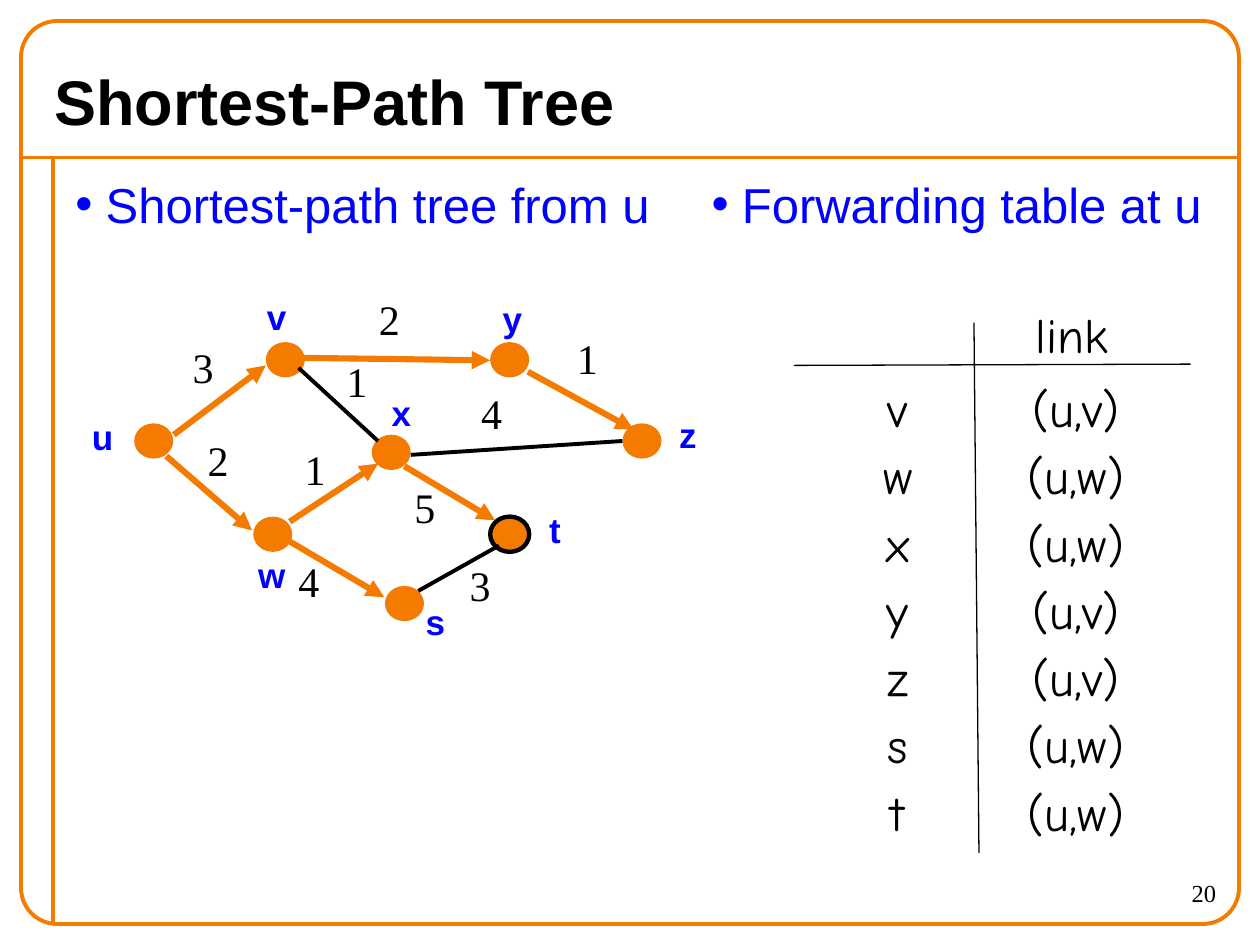
from lxml.etree import SubElement
from pptx import Presentation
from pptx.dml.color import RGBColor
from pptx.enum.shapes import MSO_CONNECTOR, MSO_SHAPE
from pptx.enum.text import MSO_ANCHOR, MSO_AUTO_SIZE, PP_ALIGN
from pptx.oxml.ns import qn
from pptx.util import Inches, Pt

COLORS = {"accent": "F47A00", "ink": "000000", "label": "0000FF"}
COLUMNS, ROWS = 100, 75

# router: (centre, label centre, label width)
ROUTERS = {
    "u": ((12.2, 35), (8.15, 34.7), 3.7),
    "w": ((21.65, 42.4), (21.55, 45.6), 4.1),
    "v": ((22.65, 28.55), (21.95, 25.2), 3.5),
    "x": ((31.05, 35.9), (31.85, 32.8), 3.5),
    "t": ((40.45, 42.4), (44.05, 42.1), 2.9),
    "y": ((40.45, 28.55), (40.65, 25.3), 3.5),
    "s": ((32.1, 47.9), (34.55, 49.4), 3.5),
    "z": ((50.95, 35), (54.6, 34.5), 3.4),
}
# (start, end, in the tree, cost, cost centre)
LINKS = [
    ((13.8, 34.5), (21.1, 29), True, 3, (16.1, 29.1)),
    ((13.2, 36.2), (20, 42.1), True, 2, (17.3, 36.5)),
    ((23.7, 29.2), (30, 35), False, 1, (28.3, 30.2)),
    ((22.7, 42.8), (30.5, 47.4), True, 4, (24.5, 46.1)),
    ((23, 41.4), (30, 36.8), True, 1, (25, 37.2)),
    ((32.1, 37), (39.3, 41.3), True, 5, (33.7, 40.2)),
    ((33.2, 46.9), (39.6, 43.3), False, 3, (38.1, 46.4)),
    ((32.6, 36.1), (49.4, 35), False, 4, (39, 32.8)),
    ((23.9, 28.4), (38.9, 28.6), True, 2, (30.9, 25.3)),
    ((41.9, 29.5), (50.3, 34.1), True, 1, (46.6, 28.4)),
]
FIRST_HOPS = {"v": "v", "w": "w", "x": "w", "y": "v", "z": "v", "s": "w", "t": "w"}
KEY_WIDTHS = {"w": 4.4, "t": 3.1}
FIRST_ROW, ROW_STEP = 32.4, 5.34
KEY_COLUMN, LINK_COLUMN = 71.25, 85.4


def write(frame, text, font="Arial", size=28, color="ink", bold=False,
          align=PP_ALIGN.LEFT, bullet=False):
    paragraph = frame.paragraphs[0]
    paragraph.text = text
    paragraph.alignment = align
    if bullet:
        properties = paragraph._p.get_or_add_pPr()
        properties.set("marL", str(Inches(0.24)))
        properties.set("indent", str(-Inches(0.24)))
        SubElement(properties, qn("a:buFont"), typeface=font)
        SubElement(properties, qn("a:buChar"), char="•")
    for style in (paragraph.font, paragraph.runs[0].font):
        style.name, style.size, style.bold = font, Pt(size), bold
        style.color.rgb = RGBColor.from_string(COLORS[color])


class Board:
    """Draws on one slide, with lengths in grid columns and rows."""

    def __init__(self, deck):
        self.slide = deck.slides.add_slide(deck.slide_layouts[6])
        self.column = deck.slide_width / COLUMNS
        self.row = deck.slide_height / ROWS

    def grid(self, *lengths):
        units = (self.column, self.row)
        return [round(length * units[i % 2]) for i, length in enumerate(lengths)]

    def outline(self, line, color, width):
        line.color.rgb = RGBColor.from_string(COLORS[color])
        line.width = Pt(width)

    def block(self, box, text, anchor=MSO_ANCHOR.TOP, **style):
        frame = self.slide.shapes.add_textbox(*self.grid(*box)).text_frame
        frame.word_wrap = True
        frame.vertical_anchor = anchor
        write(frame, text, **style)

    def label(self, centre, width, height, text, **style):
        """Places a one-line text around its centre."""
        x, y = centre
        box = self.grid(x - width / 2, y - height / 2, width, height)
        frame = self.slide.shapes.add_textbox(*box).text_frame
        frame.word_wrap = False
        frame.auto_size = MSO_AUTO_SIZE.SHAPE_TO_FIT_TEXT
        write(frame, text, align=PP_ALIGN.CENTER, **style)

    def shape(self, kind, box, fill=None, line=None, width=2.25):
        shape = self.slide.shapes.add_shape(kind, *self.grid(*box))
        shape.shadow.inherit = False
        if fill:
            shape.fill.solid()
            shape.fill.fore_color.rgb = RGBColor.from_string(COLORS[fill])
        else:
            shape.fill.background()
        if line:
            self.outline(shape.line, line, width)
        else:
            shape.line.fill.background()
        return shape

    def line(self, start, end, color="ink", width=0.75, arrow=False):
        line = self.slide.shapes.add_connector(
            MSO_CONNECTOR.STRAIGHT, *self.grid(*start, *end))
        self.outline(line.line, color, width)
        if arrow:
            SubElement(line.line._get_or_add_ln(), qn("a:tailEnd"), type="triangle")
        SubElement(line._element.spPr, qn("a:effectLst"))


def draw_frame(board):
    board.line((1.7, 12.5), (98.3, 12.5), "accent", 2.25)
    board.line((4.2, 12.5), (4.2, 73.3), "accent", 2.25)
    border = board.shape(MSO_SHAPE.ROUNDED_RECTANGLE, (1.67, 1.67, 96.67, 71.67),
                         line="accent")
    border.adjustments[0] = 0.04
    board.block((3.33, 4.17, 88.2, 7.5), "Shortest-Path Tree",
                anchor=MSO_ANCHOR.MIDDLE, size=36, bold=True)
    board.block((5, 13.35, 50.9, 60), "Shortest-path tree from u",
                color="label", bullet=True)
    board.block((55.5, 13.35, 42, 60), "Forwarding table at u",
                color="label", bullet=True)


def draw_network(board):
    for name, ((x, y), _, _) in ROUTERS.items():
        board.shape(MSO_SHAPE.OVAL, (x - 1.55, y - 1.4, 3.1, 2.8), fill="accent",
                    line="ink" if name == "t" else None, width=2.5)
    for start, end, in_tree, _, _ in LINKS:
        color, width = ("accent", 3.5) if in_tree else ("ink", 2.25)
        board.line(start, end, color, width, arrow=in_tree)
    for *_, cost, centre in LINKS:
        board.label(centre, 3.6, 5, str(cost), font="Times New Roman", size=24)
    for name, (_, centre, width) in ROUTERS.items():
        board.label(centre, width, 4.4, name, size=20, color="label", bold=True)


def draw_forwarding_table(board):
    board.line((77.3, 25.6), (77.7, 67.7))
    board.line((63, 29), (94.5, 28.9))
    board.label((85.05, 26.5), 8.4, 5.7, "link", font="Comic Neue")
    for index, (target, hop) in enumerate(FIRST_HOPS.items()):
        y = FIRST_ROW + index * ROW_STEP
        board.label((KEY_COLUMN, y), KEY_WIDTHS.get(target, 3.7), 5.7, target,
                    font="Comic Neue")
        board.label((LINK_COLUMN, y), 9.8 if hop == "w" else 9.1, 5.7, f"(u,{hop})",
                    font="Comic Neue")


def main():
    deck = Presentation()
    deck.slide_width, deck.slide_height = Inches(10), Inches(7.5)
    board = Board(deck)
    draw_frame(board)
    draw_network(board)
    draw_forwarding_table(board)
    board.block((87.5, 69.2, 10, 4.2), "20", font="Times New Roman", size=14,
                align=PP_ALIGN.RIGHT)
    deck.save("out.pptx")


if __name__ == "__main__":
    main()
